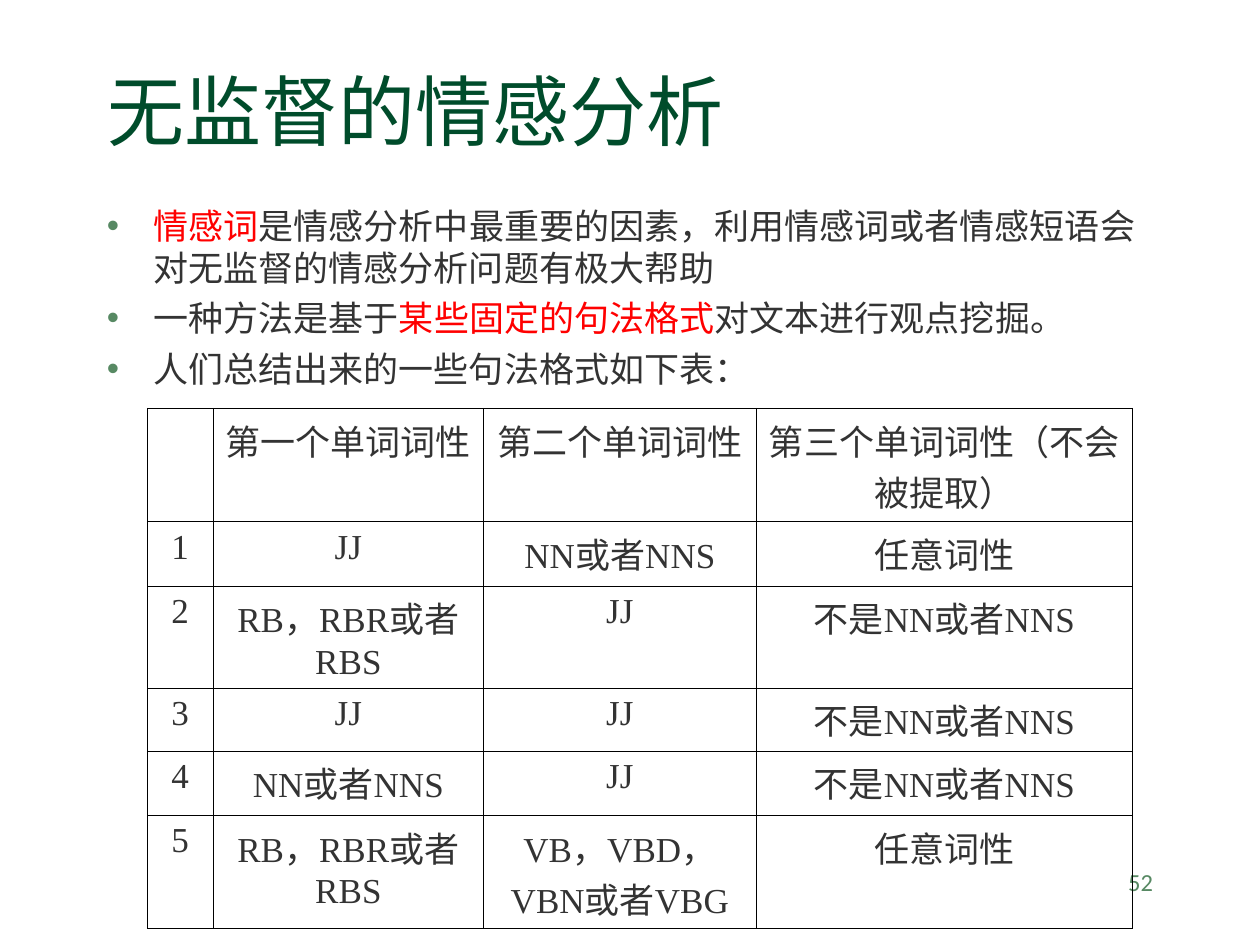
from dataclasses import dataclass

from lxml.etree import SubElement
from pptx import Presentation
from pptx.dml.color import RGBColor
from pptx.enum.text import MSO_ANCHOR, PP_ALIGN
from pptx.oxml.ns import qn
from pptx.util import Inches, Pt


@dataclass(frozen=True)
class Theme:
    serif: str = "Times New Roman"
    sans: str = "Calibri"
    dark: str = "004C2B"
    green: str = "578963"
    ink: str = "333333"
    red: str = "FF0000"
    line: str = "000000"
    head: int = 44
    body: int = 20
    small: int = 14
    rule: float = 0.45


class Deck:
    def __init__(self, theme):
        self.theme = theme
        self.show = Presentation()
        self.show.slide_width, self.show.slide_height = Inches(10), Inches(7.5)
        self.slide = self.show.slides.add_slide(self.show.slide_layouts[5])

    def style(self, run, size, color, face=None):
        font = run.font
        font.name = face or self.theme.serif
        font.size = Pt(size)
        font.color.rgb = RGBColor.from_string(color)

    def box(self, area):
        frame = self.slide.shapes.add_textbox(*map(Inches, area)).text_frame
        frame.word_wrap = True
        return frame

    def title(self, text, area):
        shape = self.slide.shapes.title
        shape.left, shape.top, shape.width, shape.height = map(Inches, area)
        frame = shape.text_frame
        frame.text = text
        frame.vertical_anchor = MSO_ANCHOR.BOTTOM
        para = frame.paragraphs[0]
        para.alignment = PP_ALIGN.LEFT
        self.style(para.runs[0], self.theme.head, self.theme.dark)

    def bullet(self, para):
        props = para._p.get_or_add_pPr()
        indent = Inches(0.37)
        props.set("marL", str(indent))
        props.set("indent", str(-indent))
        color = SubElement(props, qn("a:buClr"))
        SubElement(color, qn("a:srgbClr"), val=self.theme.green)
        SubElement(props, qn("a:buFont"), typeface="Arial")
        SubElement(props, qn("a:buChar"), char="•")

    def points(self, items, area):
        """Each item is a list of (text, is_key) pieces; key pieces are red."""
        frame = self.box(area)
        frame.margin_top = Inches(0.06)
        for i, item in enumerate(items):
            para = frame.add_paragraph() if i else frame.paragraphs[0]
            self.bullet(para)
            if i:
                para.space_before = Pt(5)
            for text, key in item:
                run = para.add_run()
                run.text = text
                color = self.theme.red if key else self.theme.ink
                self.style(run, self.theme.body, color)

    def number(self, text, area):
        frame = self.box(area)
        frame.text = text
        para = frame.paragraphs[0]
        para.alignment = PP_ALIGN.RIGHT
        self.style(para.runs[0], self.theme.small, self.theme.green, self.theme.sans)

    def border(self, cell):
        props = cell._tc.get_or_add_tcPr()
        for side in ("lnL", "lnR", "lnT", "lnB"):
            line = SubElement(props, qn(f"a:{side}"), w=str(Pt(self.theme.rule)))
            fill = SubElement(line, qn("a:solidFill"))
            SubElement(fill, qn("a:srgbClr"), val=self.theme.line)

    def cell(self, cell, text):
        self.border(cell)
        cell.fill.background()
        cell.margin_left = cell.margin_right = Inches(0.08)
        cell.margin_top = cell.margin_bottom = Inches(0.05)
        cell.text_frame.text = text
        para = cell.text_frame.paragraphs[0]
        para.alignment = PP_ALIGN.CENTER
        for run in para.runs:
            self.style(run, self.theme.body, self.theme.ink)

    def table(self, data, left, top, widths, heights):
        size = map(Inches, (left, top, sum(widths), sum(heights)))
        grid = self.slide.shapes.add_table(len(data), len(widths), *size).table
        grid.first_row = grid.horz_banding = False
        for col, width in zip(grid.columns, widths):
            col.width = Inches(width)
        for row, height, texts in zip(grid.rows, heights, data):
            row.height = Inches(height)
            for cell, text in zip(row.cells, texts):
                self.cell(cell, text)


POINTS = [
    [("情感词", True),
     ("是情感分析中最重要的因素，利用情感词或者情感短语会对无监督的情感分析问题有极大帮助", False)],
    [("一种方法是基于", False), ("某些固定的句法格式", True),
     ("对文本进行观点挖掘。", False)],
    [("人们总结出来的一些句法格式如下表：", False)],
]
HEADS = ["", "第一个单词词性", "第二个单词词性", "第三个单词词性（不会被提取）"]
RULES = [
    ["JJ", "NN或者NNS", "任意词性"],
    ["RB，RBR或者RBS", "JJ", "不是NN或者NNS"],
    ["JJ", "JJ", "不是NN或者NNS"],
    ["NN或者NNS", "JJ", "不是NN或者NNS"],
    ["RB，RBR或者RBS", "VB，VBD，VBN或者VBG", "任意词性"],
]


def main():
    deck = Deck(Theme())
    deck.title("无监督的情感分析", (0.75, 0.38, 8.5, 0.91))
    deck.points(POINTS, (0.75, 1.56, 8.5, 4.5))
    deck.number("52", (7.17, 6.83, 2.08, 0.5))
    rows = [[str(i), *rule] for i, rule in enumerate(RULES, 1)]
    deck.table([HEADS, *rows], 1.17, 3.24, (0.52, 2.15, 2.16, 2.99),
               (0.9, 0.51, 0.81, 0.5, 0.51, 0.9))
    deck.show.save("out.pptx")


if __name__ == "__main__":
    main()
